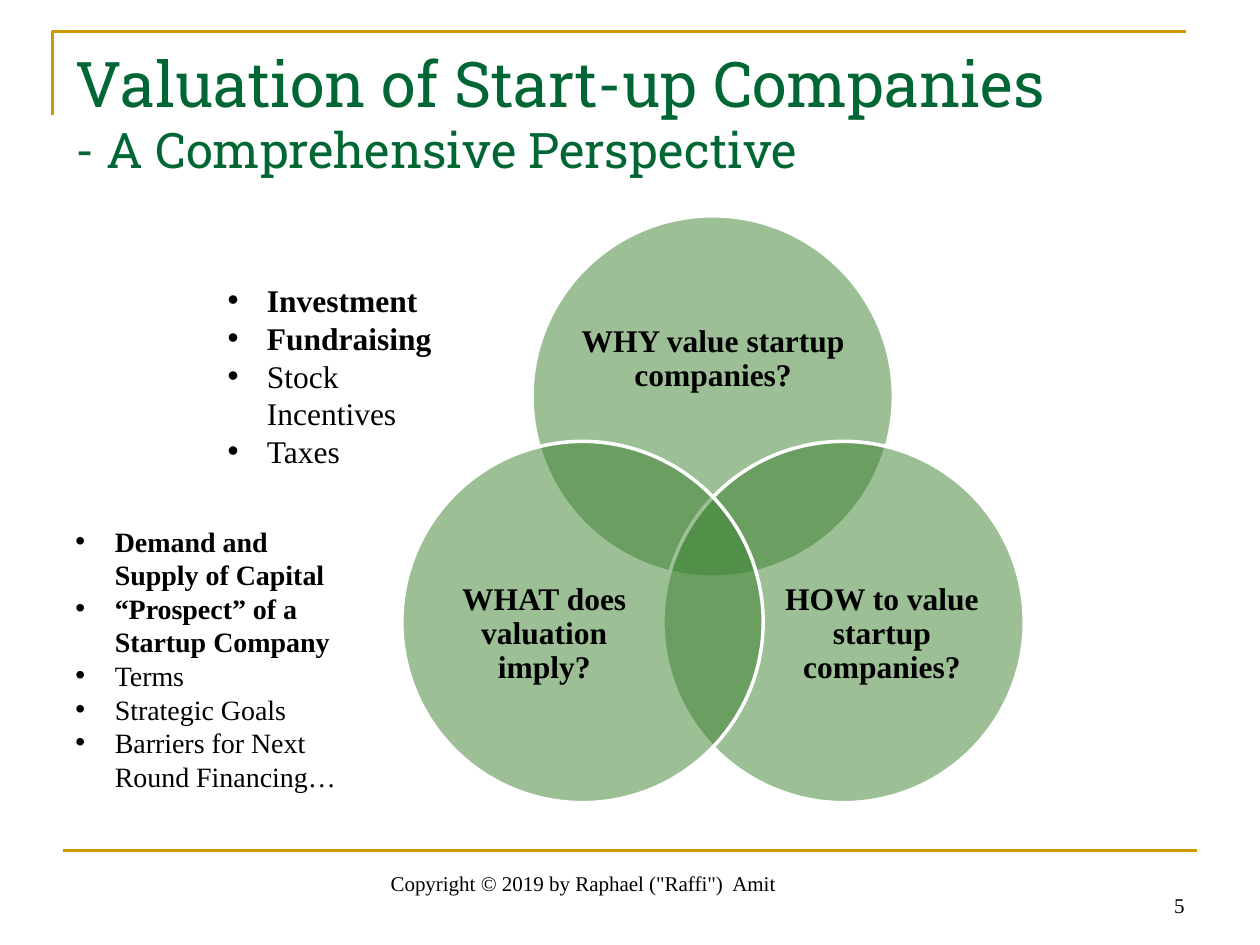
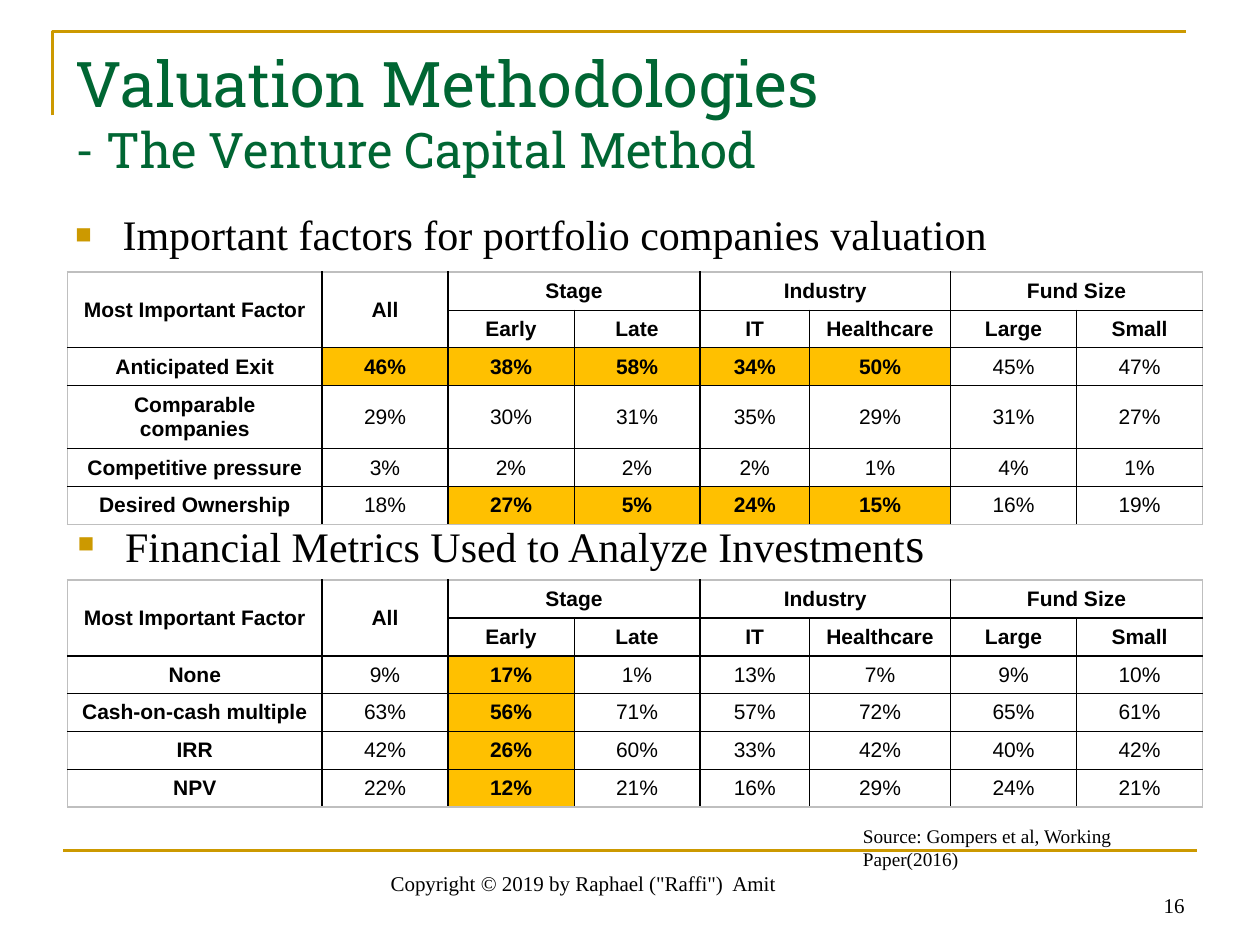
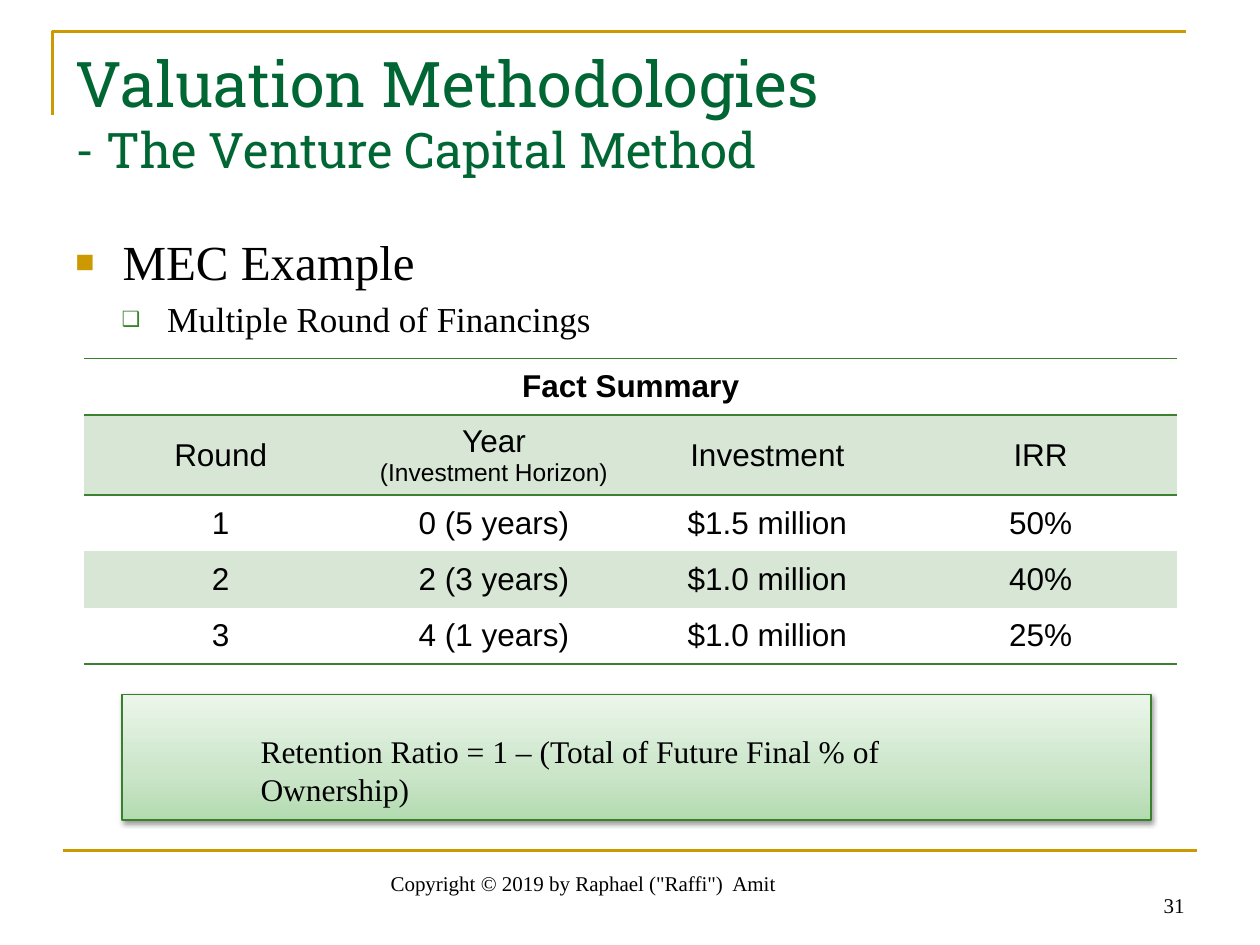
import copy

import pptx
import pptx.dml.color
import pptx.enum.shapes
import pptx.enum.text
import pptx.oxml
import pptx.oxml.ns
import pptx.util
from lxml import etree

Pt = pptx.util.Pt
RGBColor = pptx.dml.color.RGBColor
PP_ALIGN = pptx.enum.text.PP_ALIGN
MSO_ANCHOR = pptx.enum.text.MSO_ANCHOR
MSO_SHAPE = pptx.enum.shapes.MSO_SHAPE
qn = pptx.oxml.ns.qn

GOLD = RGBColor(0xCC, 0x99, 0x00)
TITLE_GREEN = RGBColor(0x00, 0x66, 0x33)
GREEN = RGBColor(0x3B, 0x81, 0x2F)
PALE_GREEN = RGBColor(0xD8, 0xE6, 0xD5)
BOX_LINE = RGBColor(0x38, 0x80, 0x2C)
BOX_GRADIENT = [(0, RGBColor(0xB3, 0xDB, 0xB0)), (0.35, RGBColor(0xCA, 0xE5, 0xC8)),
                (1, RGBColor(0xEB, 0xF6, 0xEA))]
AMBER = RGBColor(0xFF, 0xC0, 0x00)
GRAY = RGBColor(0xBF, 0xBF, 0xBF)
BLACK = RGBColor(0, 0, 0)
WHITE = RGBColor(0xFF, 0xFF, 0xFF)

SERIF = "Times New Roman"
SANS = "Arial"
TITLE_FONT = "Roboto Slab"
NO_TABLE_STYLE = "{2D5ABB26-0587-4C30-8999-92F81FD0307C}"

# Bullets: character, colour, size in percent, text indent, hanging indent
DOT = ("•", BLACK, 100, 22.5, 22.5)
SQUARE = ("■", GOLD, 65, 27, 27)
HOLLOW = ("❑", GREEN, 60, 52.5, 26)


def add_text(slide, box, lines, font=SERIF, color=BLACK, align=PP_ALIGN.LEFT,
             anchor=MSO_ANCHOR.TOP):
    """Add a text box; each line is (text, size, bold, bullet)."""
    frame = slide.shapes.add_textbox(*map(Pt, box)).text_frame
    frame.word_wrap = True
    frame.vertical_anchor = anchor
    for index, (text, size, bold, bullet) in enumerate(lines):
        paragraph = frame.paragraphs[0] if index == 0 else frame.add_paragraph()
        paragraph.text = text
        paragraph.alignment = align
        if bullet:
            char, bullet_color, percent, indent, hanging = bullet
            props = paragraph._p.get_or_add_pPr()
            props.set("marL", str(Pt(indent)))
            props.set("indent", str(-Pt(hanging)))
            bullet_clr = etree.SubElement(props, qn("a:buClr"))
            etree.SubElement(bullet_clr, qn("a:srgbClr"), val=str(bullet_color))
            etree.SubElement(props, qn("a:buSzPct"), val=str(percent * 1000))
            etree.SubElement(props, qn("a:buFont"), typeface=SANS)
            etree.SubElement(props, qn("a:buChar"), char=char)
        paragraph.font.name = font
        paragraph.font.size = Pt(size)
        paragraph.font.bold = bold
        paragraph.font.color.rgb = color
    return frame


def fill_cell(cell, text, size, bold, fill, borders):
    """Write a table cell; borders maps L, R, T, B, in that order, to (colour, width)."""
    cell.vertical_anchor = MSO_ANCHOR.MIDDLE
    cell.text = text
    for paragraph in cell.text_frame.paragraphs:
        paragraph.alignment = PP_ALIGN.CENTER
        paragraph.font.name = SANS
        paragraph.font.size = Pt(size)
        paragraph.font.bold = bold
        paragraph.font.color.rgb = BLACK
    for side, (color, width) in borders.items():
        line = etree.SubElement(cell._tc.get_or_add_tcPr(), qn("a:ln" + side), w=str(Pt(width)))
        line_fill = etree.SubElement(line, qn("a:solidFill"))
        etree.SubElement(line_fill, qn("a:srgbClr"), val=str(color))
    if fill:
        cell.fill.solid()
        cell.fill.fore_color.rgb = fill
    else:
        cell.fill.background()


deck = pptx.Presentation()
deck.slide_width, deck.slide_height = Pt(720), Pt(540)

# Frame, title and footer of every slide
slides = []
for title, subtitle, number in [
    ("Valuation of Start-up Companies", "- A Comprehensive Perspective", "5"),
    ("Valuation Methodologies", "- The Venture Capital Method", "16"),
    ("Valuation Methodologies", "- The Venture Capital Method", "31"),
]:
    slide = deck.slides.add_slide(deck.slide_layouts[6])
    slides.append(slide)

    corner_path = slide.shapes.build_freeform(Pt(30), Pt(66), scale=1.0)
    corner_path.add_line_segments([(Pt(30), Pt(18)), (Pt(678), Pt(18))], close=False)
    corner = corner_path.convert_to_shape()
    corner.shadow.inherit = False
    corner.fill.background()
    footer_rule = slide.shapes.add_connector(
        pptx.enum.shapes.MSO_CONNECTOR.STRAIGHT, Pt(36), Pt(486), Pt(684), Pt(486))
    for rule in (corner, footer_rule):
        rule.line.color.rgb = GOLD
        rule.line.width = Pt(1.5)
    etree.SubElement(footer_rule._element.spPr, qn("a:effectLst"))

    heading = add_text(slide, (36, 21.6, 648, 90), [(title, 36, False, None)],
                       TITLE_FONT, TITLE_GREEN).paragraphs[0]
    heading.add_line_break()
    subheading = heading.add_run()
    subheading.text = subtitle
    subheading.font.size = Pt(28)

    add_text(slide, (180.7, 489.6, 305.3, 26),
             [('Copyright © 2019 by Raphael ("Raffi")  Amit', 12, False, None)],
             align=PP_ALIGN.CENTER, anchor=MSO_ANCHOR.BOTTOM)
    add_text(slide, (516, 492, 168, 36), [(number, 12, False, None)],
             align=PP_ALIGN.RIGHT, anchor=MSO_ANCHOR.BOTTOM)

perspective, survey, example = slides

# Three questions as overlapping circles
DIAMETER = 206.5
for left, top, question, question_box in [
    (304, 123.3, "WHY value startup companies?", (332, 159, 151, 93)),
    (378.8, 252.2, "HOW to value startup companies?", (442, 305.5, 124, 114)),
    (229.6, 252.2, "WHAT does valuation imply?", (249, 305.5, 124, 114)),
]:
    circle = perspective.shapes.add_shape(
        MSO_SHAPE.OVAL, Pt(left), Pt(top), Pt(DIAMETER), Pt(DIAMETER))
    circle.shadow.inherit = False
    circle.fill.solid()
    circle.fill.fore_color.rgb = GREEN
    circle_color = circle._element.spPr.find(".//" + qn("a:srgbClr"))
    etree.SubElement(circle_color, qn("a:alpha"), val="50000")
    circle.line.color.rgb = WHITE
    circle.line.width = Pt(2)
    label = add_text(perspective, question_box, [(question, 18, True, None)],
                     align=PP_ALIGN.CENTER, anchor=MSO_ANCHOR.MIDDLE)
    label.margin_left = label.margin_right = label.margin_top = label.margin_bottom = 0
    label.paragraphs[0].line_spacing = 0.9

for box, size, points in [
    ((123, 157, 138, 112), 18,
     [("Investment", True), ("Fundraising", True), ("Stock Incentives", False),
      ("Taxes", False)]),
    ((36, 296, 168, 163), 16,
     [("Demand and Supply of Capital", True), ("“Prospect” of a Startup Company", True),
      ("Terms", False), ("Strategic Goals", False),
      ("Barriers for Next Round Financing…", False)]),
]:
    add_text(perspective, box, [(text, size, bold, DOT) for text, bold in points])

# Survey tables
add_text(survey, (36, 115.6, 648, 40),
         [("Important factors for portfolio companies valuation", 24, False, SQUARE)])
metrics = add_text(survey, (37.4, 290, 648, 40),
                   [("Financial Metrics Used to Analyze Investment", 24, False, SQUARE)])
last_letter = metrics.paragraphs[0].add_run()
last_letter.text = "s"
last_letter.font.size = Pt(28)

HEADER = [
    ["Most Important Factor", "All", "Stage", "", "Industry", "", "Fund Size", ""],
    ["", "", "Early", "Late", "IT", "Healthcare", "Large", "Small"],
]
COLUMN_WIDTHS = [145.4, 72, 72, 72, 62.6, 80.6, 72, 72]
GROUP_STARTS = {1, 2, 4, 6}
factors = [
    ["Anticipated Exit", "46%", "38%", "58%", "34%", "50%", "45%", "47%"],
    ["Comparable companies", "29%", "30%", "31%", "35%", "29%", "31%", "27%"],
    ["Competitive pressure", "3%", "2%", "2%", "2%", "1%", "4%", "1%"],
    ["Desired Ownership", "18%", "27%", "5%", "24%", "15%", "16%", "19%"],
]
financial_metrics = [
    ["None", "9%", "17%", "1%", "13%", "7%", "9%", "10%"],
    ["Cash-on-cash multiple", "63%", "56%", "71%", "57%", "72%", "65%", "61%"],
    ["IRR", "42%", "26%", "60%", "33%", "42%", "40%", "42%"],
    ["NPV", "22%", "12%", "21%", "16%", "29%", "24%", "21%"],
]
for top, body, heavy_rows, highlights in [
    (155.5, factors, set(), {2: range(1, 6), 5: range(2, 6)}),
    (331.5, financial_metrics, {1, 2}, {row: [2] for row in range(2, 6)}),
]:
    rows = HEADER + body
    table = survey.shapes.add_table(6, 8, Pt(38.6), Pt(top), Pt(648.6), Pt(124)).table
    table._tbl.tblPr[0].text = NO_TABLE_STYLE
    for column, width in zip(table.columns, COLUMN_WIDTHS):
        column.width = Pt(width)
    for table_row, (name, *_) in zip(table.rows, rows):
        table_row.height = Pt(34.3 if name == "Comparable companies" else 20.65)
    for column in (0, 1):
        table.cell(0, column).merge(table.cell(1, column))
    for column in (2, 4, 6):
        table.cell(0, column).merge(table.cell(0, column + 1))

    for r, row in enumerate(rows):
        for c, text in enumerate(row):
            cell = table.cell(r, c)
            if cell.is_spanned:
                continue
            borders = {}
            for side, edge, last, heavy in [
                ("L", c, 8, GROUP_STARTS), ("R", c + cell.span_width, 8, GROUP_STARTS),
                ("T", r, 6, heavy_rows), ("B", r + cell.span_height, 6, heavy_rows),
            ]:
                if edge in (0, last):
                    borders[side] = (GRAY, 1)
                else:
                    borders[side] = (BLACK, 1 if edge in heavy else 0.5)
            marked = c in highlights.get(r, [])
            fill_cell(cell, text, 12, r < 2 or c == 0 or marked,
                      AMBER if marked else None, borders)

add_text(survey, (486, 467.3, 208, 21),
         [("Source: Gompers et al, Working Paper(2016)", 11, False, None)])

# Financing rounds example
outline = add_text(example, (36, 129, 648, 70), [
    ("MEC Example", 28, False, SQUARE),
    ("Multiple Round of Financings", 20, False, HOLLOW),
])
outline.paragraphs[1].space_before = Pt(4)

rounds = [
    ["Fact Summary", "", "", ""],
    ["Round", "Year\n(Investment Horizon)", "Investment", "IRR"],
    ["1", "0 (5 years)", "$1.5 million", "50%"],
    ["2", "2 (3 years)", "$1.0 million", "40%"],
    ["3", "4 (1 years)", "$1.0 million", "25%"],
]
facts = example.shapes.add_table(5, 4, Pt(48), Pt(205), Pt(624.8), Pt(172)).table
facts._tbl.tblPr[0].text = NO_TABLE_STYLE
facts.cell(0, 0).merge(facts.cell(0, 3))
rule_below = {"B": (GREEN, 1)}
row_borders = {0: {"T": (GREEN, 1), "B": (GREEN, 1)}, 1: {"T": (GREEN, 1)}, 4: rule_below}
for r, row in enumerate(rounds):
    facts.rows[r].height = Pt(43.1 if r == 1 else 32.25)
    for c, text in enumerate(row):
        fill_cell(facts.cell(r, c), text, 18, r == 0,
                  PALE_GREEN if r in (1, 3) else None, row_borders.get(r, {}))
facts.cell(1, 1).text_frame.paragraphs[1].font.size = Pt(14)

# Retention ratio
ratio_box = example.shapes.add_shape(MSO_SHAPE.RECTANGLE, Pt(69.8), Pt(396.7), Pt(588), Pt(72))
ratio_box.fill.gradient()
ratio_box.fill.gradient_angle = 90
stop_list = ratio_box._element.spPr.find(".//" + qn("a:gsLst"))
stop_list.append(copy.deepcopy(stop_list[0]))
for stop, (position, color) in zip(ratio_box.fill.gradient_stops, BOX_GRADIENT):
    stop.position = position
    stop.color.rgb = color
ratio_box.line.color.rgb = BOX_LINE
ratio_box.line.width = Pt(0.75)
ratio_box.shadow.inherit = False
shadow = etree.SubElement(
    ratio_box._element.spPr.find(qn("a:effectLst")), qn("a:outerShdw"),
    blurRad=str(Pt(3.1)), dist=str(Pt(1.6)), dir="5400000", rotWithShape="0")
shadow_color = etree.SubElement(shadow, qn("a:srgbClr"), val=str(BLACK))
etree.SubElement(shadow_color, qn("a:alpha"), val="38000")
add_text(example, (141.8, 415, 420, 50),
         [("Retention Ratio = 1 – (Total of Future Final % of Ownership)", 18, False, None)])

deck.save("out.pptx")
